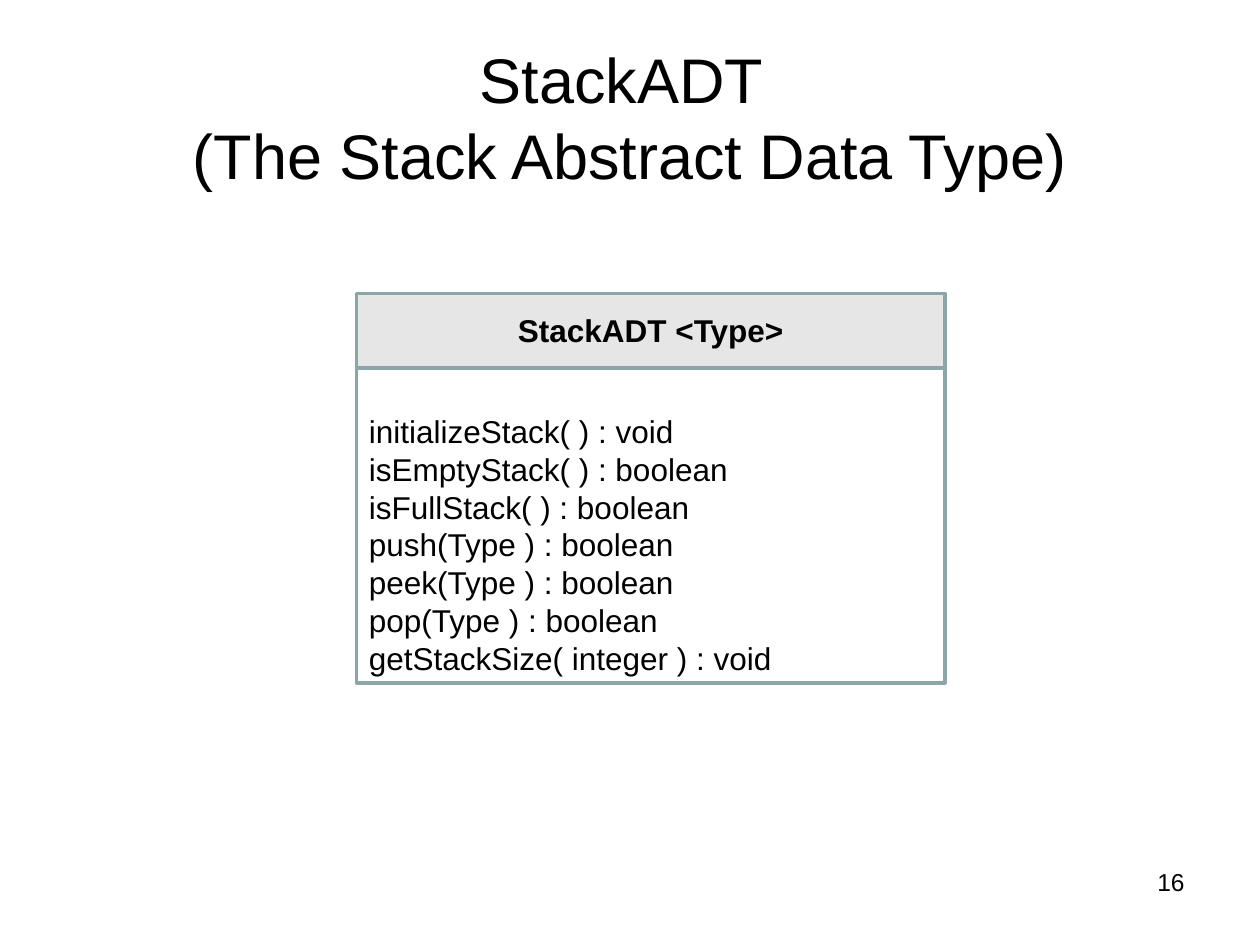
import pptx
import pptx.util
import pptx.dml.color
import pptx.enum.shapes
import pptx.enum.text

Inches, Pt = pptx.util.Inches, pptx.util.Pt
ALIGN = pptx.enum.text.PP_ALIGN
ANCHOR = pptx.enum.text.MSO_ANCHOR

COLORS = {"text": "000000", "border": "8AA6A8", "header": "E6E6E6"}
FONT = "Arial"

TITLE = "StackADT \v(The Stack Abstract Data Type)"
PAGE_NUMBER = "16"
CLASS_NAME = "StackADT <Type>"
OPERATIONS = [
    "initializeStack( ) : void",
    "isEmptyStack( ) : boolean",
    "isFullStack( ) : boolean",
    "push(Type ) : boolean",
    "peek(Type ) : boolean",
    "pop(Type ) : boolean",
    "getStackSize( integer ) : void",
]

CLASS_LEFT, CLASS_TOP, CLASS_WIDTH = 2.83, 2.33, 4.67
HEADER_HEIGHT, BODY_HEIGHT = 0.59, 2.5
BODY_TOP = CLASS_TOP + HEADER_HEIGHT


def rgb(name):
    return pptx.dml.color.RGBColor.from_string(COLORS[name])


def add_text(slide, box, lines, size, align=ALIGN.LEFT, bold=False,
             anchor=ANCHOR.TOP, top_inset=0.05):
    tf = slide.shapes.add_textbox(*map(Inches, box)).text_frame
    tf.word_wrap = True
    tf.vertical_anchor = anchor
    tf.margin_top = Inches(top_inset)
    for i, line in enumerate(lines):
        p = tf.paragraphs[0] if i == 0 else tf.add_paragraph()
        p.text = line
        p.alignment = align
        for r in p.runs:
            r.font.name = FONT
            r.font.size = Pt(size)
            r.font.bold = bold
            r.font.color.rgb = rgb("text")


def add_compartment(slide, top, height, fill=None):
    sp = slide.shapes.add_shape(
        pptx.enum.shapes.MSO_SHAPE.RECTANGLE,
        *map(Inches, (CLASS_LEFT, top, CLASS_WIDTH, height)))
    sp.shadow.inherit = False
    if fill:
        sp.fill.solid()
        sp.fill.fore_color.rgb = rgb(fill)
    else:
        sp.fill.background()
    sp.line.color.rgb = rgb("border")
    sp.line.width = Pt(2)


def main():
    prs = pptx.Presentation()
    prs.slide_width, prs.slide_height = Inches(10), Inches(7.5)
    slide = prs.slides.add_slide(prs.slide_layouts[6])

    add_text(slide, (0.5, 0.3, 9, 1.25), [TITLE], 36, ALIGN.CENTER,
             anchor=ANCHOR.MIDDLE)
    add_text(slide, (8.58, 6.83, 0.92, 0.52), [PAGE_NUMBER], 14, ALIGN.RIGHT)

    add_compartment(slide, BODY_TOP, BODY_HEIGHT)
    add_compartment(slide, CLASS_TOP, HEADER_HEIGHT, "header")
    add_text(slide, (CLASS_LEFT, 2.42, CLASS_WIDTH, 0.42), [CLASS_NAME], 18,
             ALIGN.CENTER, bold=True)
    add_text(slide, (CLASS_LEFT, BODY_TOP, CLASS_WIDTH, 2.52), OPERATIONS, 18,
             top_inset=0.35)

    prs.save("out.pptx")


if __name__ == "__main__":
    main()
